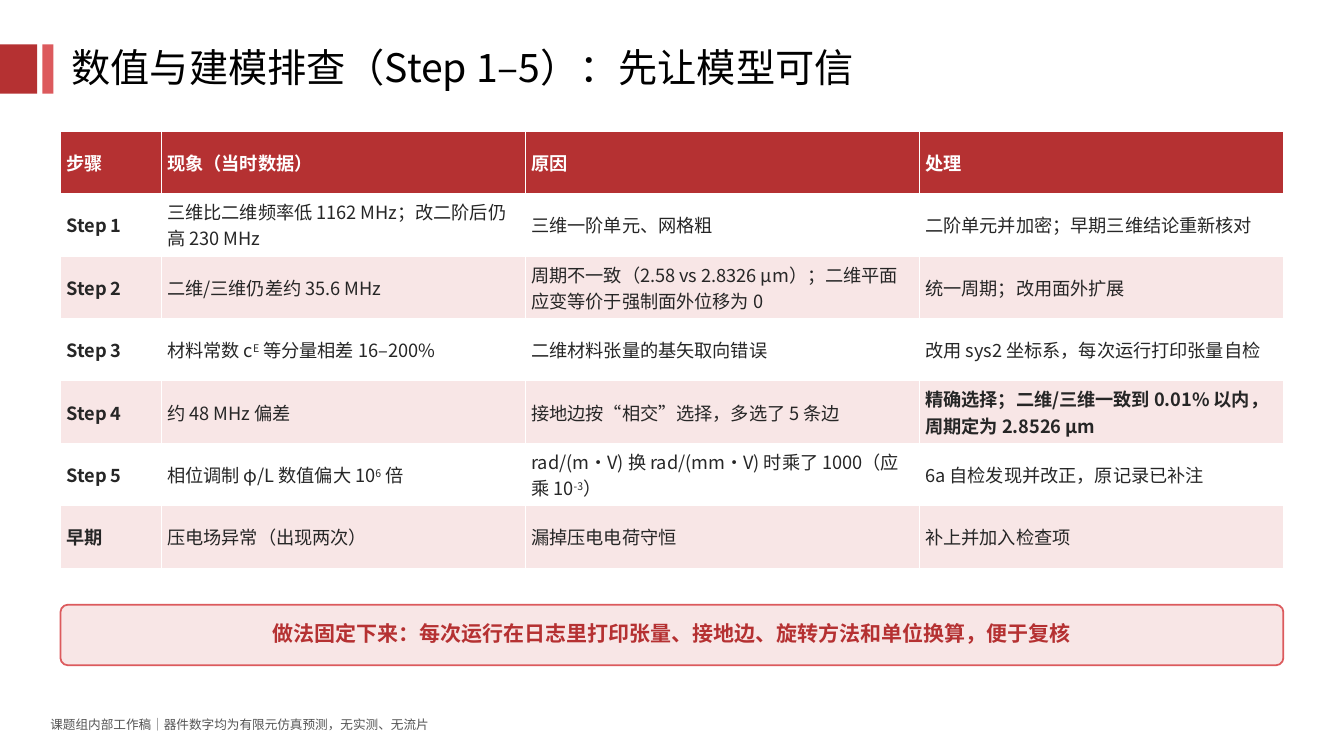
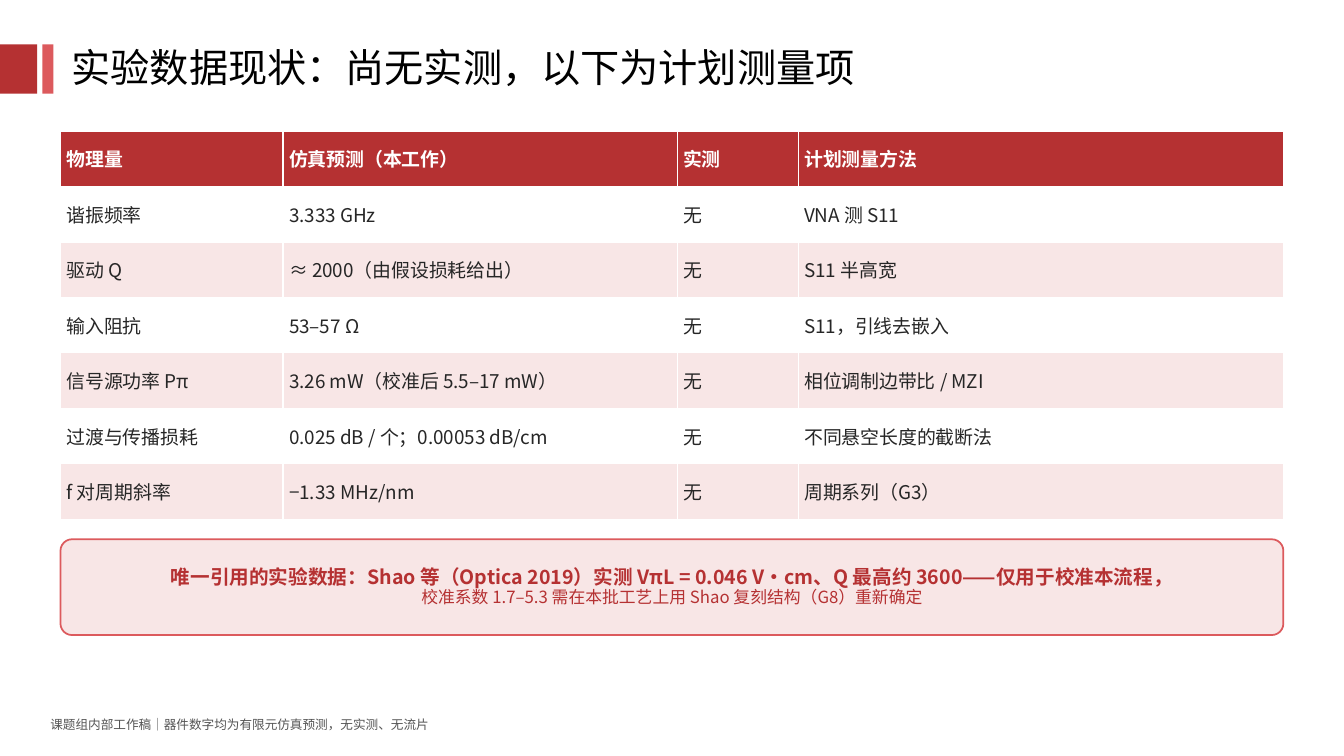
from dataclasses import dataclass
from typing import Any

from lxml import etree
from pptx import Presentation
from pptx.dml.color import RGBColor
from pptx.enum.shapes import MSO_SHAPE
from pptx.enum.text import MSO_ANCHOR, MSO_AUTO_SIZE, PP_ALIGN
from pptx.oxml.ns import qn
from pptx.util import Pt

RECTANGLE = MSO_SHAPE.RECTANGLE
ROUNDED = MSO_SHAPE.ROUNDED_RECTANGLE
TOP, MIDDLE = MSO_ANCHOR.TOP, MSO_ANCHOR.MIDDLE
LEFT, CENTER = PP_ALIGN.LEFT, PP_ALIGN.CENTER

FONT = "Noto Sans CJK SC"
RED, CORAL, PINK = "B53132", "DC5A5D", "F8E6E6"
WHITE, BLACK, INK, GRAY = "FFFFFF", "000000", "262626", "555555"

SLIDE_WIDTH, SLIDE_HEIGHT = 960, 540
CONTENT_LEFT, CONTENT_WIDTH = 43.2, 873.5
TABLE_TOP = 93.6
TITLE_LINE_SPACING = 0.9
TITLE_SIZE = 28
FOOTER = "课题组内部工作稿｜器件数字均为有限元仿真预测，无实测、无流片"
SUPERSCRIPT_MARK = "^"


@dataclass(frozen=True)
class Box:
    left: float
    top: float
    width: float
    height: float

    def lengths(self) -> tuple:
        return Pt(self.left), Pt(self.top), Pt(self.width), Pt(self.height)


@dataclass(frozen=True)
class Line:
    text: str
    size: float
    color: str
    bold: bool = False
    align: Any = LEFT
    space_after: float = 0


@dataclass(frozen=True)
class TableContent:
    columns: tuple[float, ...]
    row_height: float
    size: float
    rows: tuple[tuple[str, ...], ...]
    bold_cells: frozenset = frozenset()


@dataclass(frozen=True)
class Callout:
    top: float
    height: float
    lines: tuple[Line, ...]


@dataclass(frozen=True)
class SlideContent:
    title: str
    table: TableContent
    callout: Callout


TITLE_BOX = Box(44, 29.5, 763, 41)
FOOTER_BOX = Box(32.4, 509.8, 684, 21.6)
TITLE_BARS = ((Box(0, 31.7, 26.6, 35.3), RED), (Box(30.2, 31.7, 7.9, 35.3), CORAL))

SLIDES = (
    SlideContent(
        "数值与建模排查（Step 1–5）：先让模型可信",
        TableContent(
            (72, 260, 281.5, 260), 44.64, 13,
            (
                ("步骤", "现象（当时数据）", "原因", "处理"),
                ("Step 1", "三维比二维频率低 1162 MHz；改二阶后仍高 230 MHz",
                 "三维一阶单元、网格粗", "二阶单元并加密；早期三维结论重新核对"),
                ("Step 2", "二维/三维仍差约 35.6 MHz",
                 "周期不一致（2.58 vs 2.8326 µm）；二维平面应变等价于强制面外位移为 0",
                 "统一周期；改用面外扩展"),
                ("Step 3", "材料常数 c^E^ 等分量相差 16–200%",
                 "二维材料张量的基矢取向错误", "改用 sys2 坐标系，每次运行打印张量自检"),
                ("Step 4", "约 48 MHz 偏差", "接地边按“相交”选择，多选了 5 条边",
                 "精确选择；二维/三维一致到 0.01% 以内，周期定为 2.8526 µm"),
                ("Step 5", "相位调制 φ/L 数值偏大 10^6^ 倍",
                 "rad/(m·V) 换 rad/(mm·V) 时乘了 1000（应乘 10^-3^）",
                 "6a 自检发现并改正，原记录已补注"),
                ("早期", "压电场异常（出现两次）", "漏掉压电电荷守恒", "补上并加入检查项"),
            ),
            frozenset({(row, 0) for row in range(1, 7)} | {(4, 3)}),
        ),
        Callout(432, 43.2, (
            Line("做法固定下来：每次运行在日志里打印张量、接地边、旋转方法和单位换算，便于复核",
                 15, RED, True, CENTER),
        )),
    ),
    SlideContent(
        "实验数据现状：尚无实测，以下为计划测量项",
        TableContent(
            (159, 281.5, 86.5, 346.5), 39.6, 13.5,
            (
                ("物理量", "仿真预测（本工作）", "实测", "计划测量方法"),
                ("谐振频率", "3.333 GHz", "无", "VNA 测 S11"),
                ("驱动 Q", "≈ 2000（由假设损耗给出）", "无", "S11 半高宽"),
                ("输入阻抗", "53–57 Ω", "无", "S11，引线去嵌入"),
                ("信号源功率 Pπ", "3.26 mW（校准后 5.5–17 mW）", "无", "相位调制边带比 / MZI"),
                ("过渡与传播损耗", "0.025 dB / 个；0.00053 dB/cm", "无", "不同悬空长度的截断法"),
                ("f 对周期斜率", "−1.33 MHz/nm", "无", "周期系列（G3）"),
            ),
        ),
        Callout(385.2, 68.4, (
            Line("唯一引用的实验数据：Shao 等（Optica 2019）实测 VπL = 0.046 V·cm、"
                 "Q 最高约 3600——仅用于校准本流程，", 14, RED, True, CENTER),
            Line("校准系数 1.7–5.3 需在本批工艺上用 Shao 复刻结构（G8）重新确定",
                 12, RED, False, CENTER),
        )),
    ),
)


def rgb(value: str) -> RGBColor:
    return RGBColor.from_string(value)


def apply_format(target: Any, values: dict[str, Any]) -> None:
    for name, value in values.items():
        setattr(target, name, value)


def margins(horizontal: float, vertical: float) -> dict[str, Any]:
    """Give the four inner margins of a text frame or a table cell."""
    return {"margin_left": Pt(horizontal), "margin_right": Pt(horizontal),
            "margin_top": Pt(vertical), "margin_bottom": Pt(vertical)}


def write_line(paragraph: Any, line: Line) -> None:
    """Write one paragraph; text between superscript marks is raised."""
    apply_format(paragraph, {"alignment": line.align, "space_before": Pt(0),
                             "space_after": Pt(line.space_after)})
    for index, part in enumerate(line.text.split(SUPERSCRIPT_MARK)):
        run = paragraph.add_run()
        run.text = part
        apply_format(run.font, {"size": Pt(line.size), "bold": line.bold, "name": FONT})
        run.font.color.rgb = rgb(line.color)
        properties = run.font._element
        etree.SubElement(properties, qn("a:ea")).set("typeface", FONT)
        if index % 2:
            properties.set("baseline", "30000")


def write_frame(shape: Any, lines: tuple[Line, ...], anchor: Any,
                inner_margins: dict[str, Any]) -> None:
    frame = shape.text_frame
    apply_format(frame, {"word_wrap": True, "auto_size": MSO_AUTO_SIZE.NONE,
                         "vertical_anchor": anchor, **inner_margins})
    for index, line in enumerate(lines):
        paragraph = frame.add_paragraph() if index else frame.paragraphs[0]
        write_line(paragraph, line)
        paragraph.line_spacing = TITLE_LINE_SPACING


def add_panel(slide: Any, kind: Any, box: Box, fill: str) -> Any:
    shape = slide.shapes.add_shape(kind, *box.lengths())
    shape.shadow.inherit = False
    shape.fill.solid()
    shape.fill.fore_color.rgb = rgb(fill)
    shape.line.fill.background()
    return shape


def add_frame(slide: Any, title: str) -> None:
    """Add what all slides share: title, its bars and the footer."""
    for box, color in TITLE_BARS:
        add_panel(slide, RECTANGLE, box, color)
    placeholder = slide.shapes.title
    names = ("left", "top", "width", "height")
    apply_format(placeholder, dict(zip(names, TITLE_BOX.lengths())))
    write_frame(placeholder, (Line(title, TITLE_SIZE, BLACK),), MIDDLE, margins(7.2, 3.6))
    footer = slide.shapes.add_textbox(*FOOTER_BOX.lengths())
    write_frame(footer, (Line(FOOTER, 9, GRAY, space_after=4),), TOP, margins(3.6, 3.6))


def add_data_table(slide: Any, content: TableContent) -> None:
    row_count = len(content.rows)
    box = Box(CONTENT_LEFT, TABLE_TOP, sum(content.columns), content.row_height * row_count)
    table = slide.shapes.add_table(row_count, len(content.columns), *box.lengths()).table
    table.horz_banding = False
    for column, width in zip(table.columns, content.columns):
        column.width = Pt(width)
    for row_index, texts in enumerate(content.rows):
        table.rows[row_index].height = Pt(content.row_height)
        header = row_index == 0
        fill = RED if header else (WHITE if row_index % 2 else PINK)
        for column_index, text in enumerate(texts):
            cell = table.cell(row_index, column_index)
            apply_format(cell, {"vertical_anchor": MIDDLE, **margins(4.3, 2.2)})
            cell.fill.solid()
            cell.fill.fore_color.rgb = rgb(fill)
            bold = header or (row_index, column_index) in content.bold_cells
            write_line(cell.text_frame.paragraphs[0],
                       Line(text, content.size, WHITE if header else INK, bold))


def add_callout(slide: Any, callout: Callout) -> None:
    box = Box(CONTENT_LEFT, callout.top, CONTENT_WIDTH, callout.height)
    shape = add_panel(slide, ROUNDED, box, PINK)
    shape.adjustments[0] = 0.12
    shape.line.color.rgb = rgb(CORAL)
    shape.line.width = Pt(1.25)
    write_frame(shape, callout.lines, MIDDLE, margins(4.3, 2.2))


def main() -> None:
    presentation = Presentation()
    apply_format(presentation, {"slide_width": Pt(SLIDE_WIDTH),
                                "slide_height": Pt(SLIDE_HEIGHT)})
    title_only = presentation.slide_layouts.get_by_name("Title Only")
    for content in SLIDES:
        slide = presentation.slides.add_slide(title_only)
        add_frame(slide, content.title)
        add_data_table(slide, content.table)
        add_callout(slide, content.callout)
    presentation.save("out.pptx")


if __name__ == "__main__":
    main()
